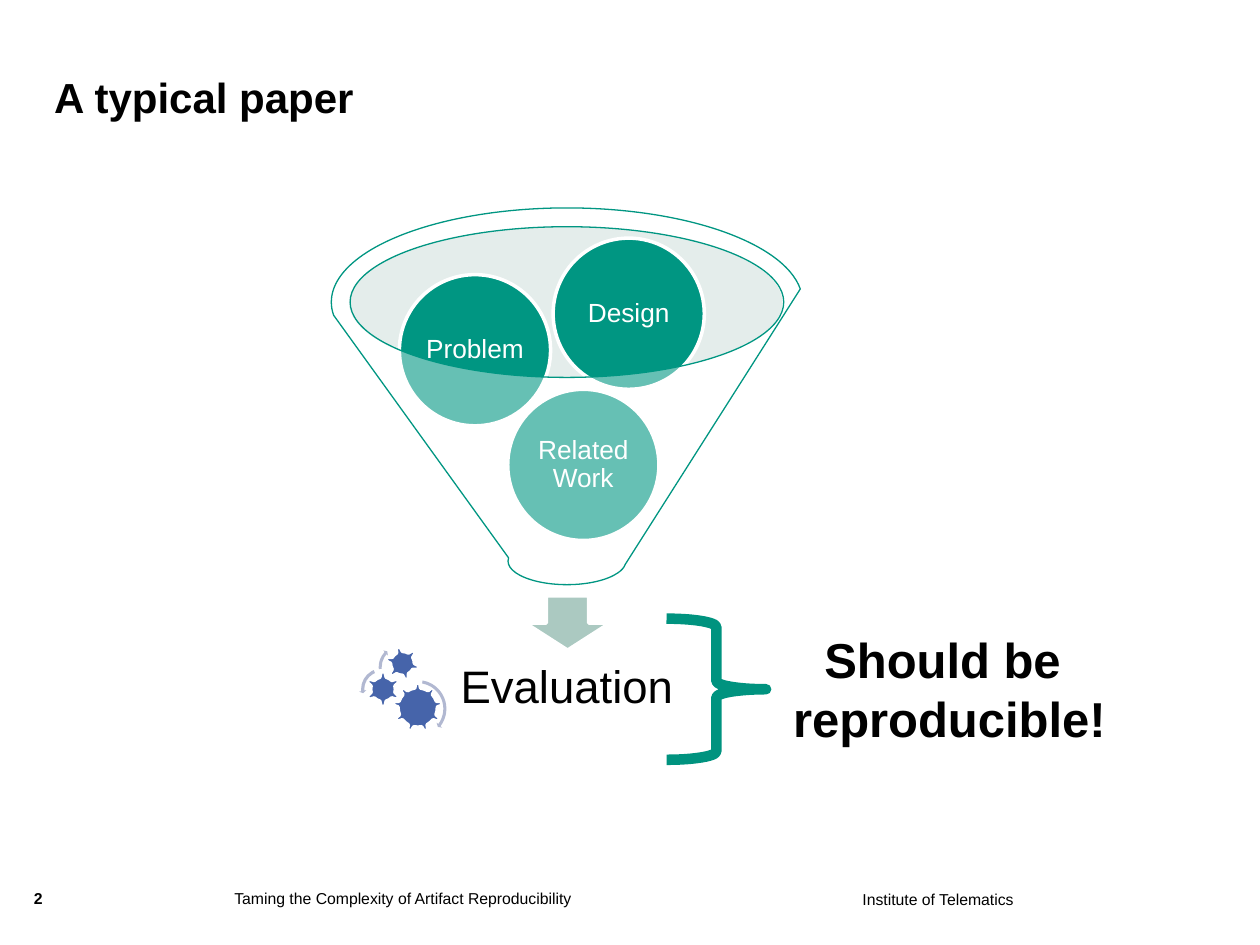
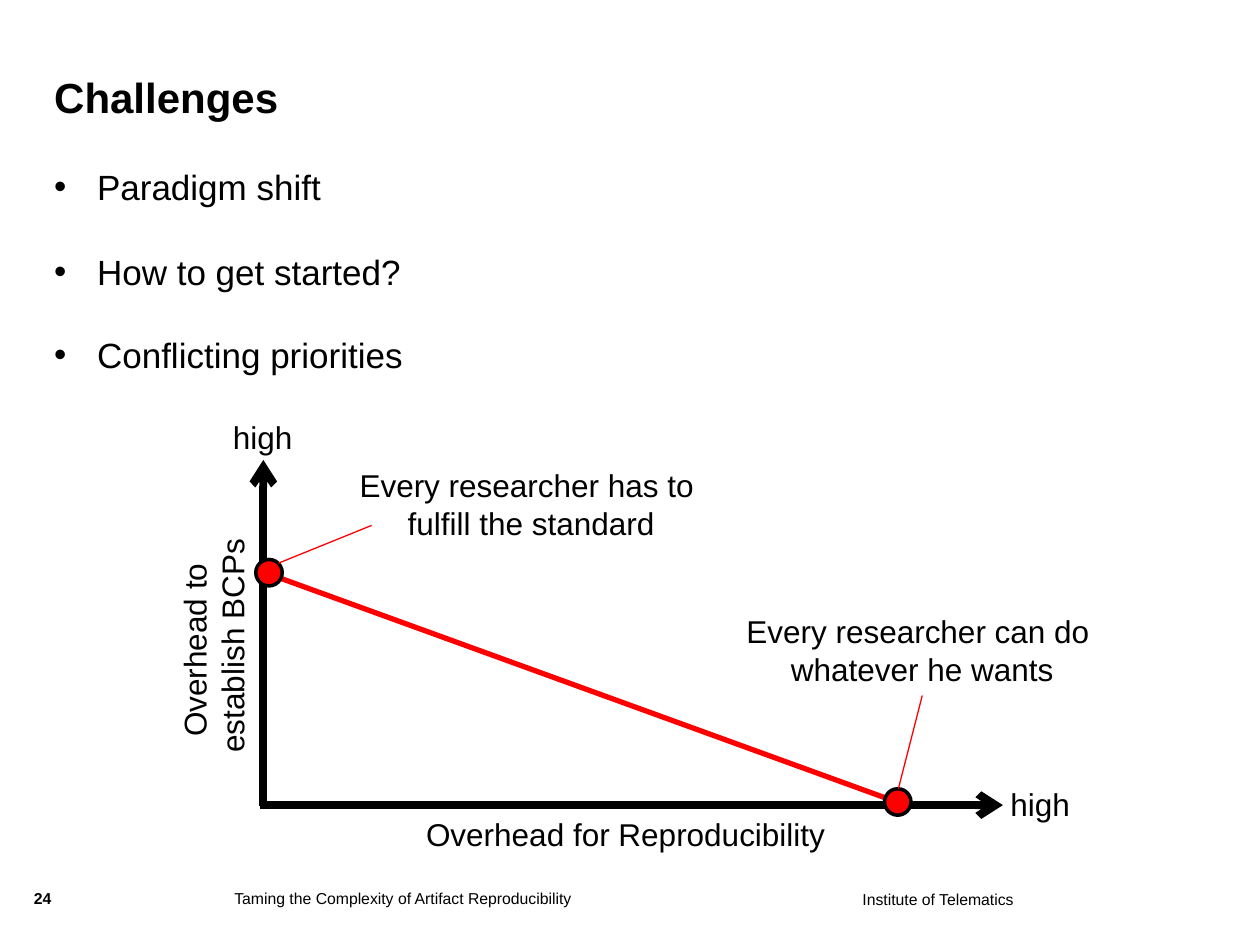
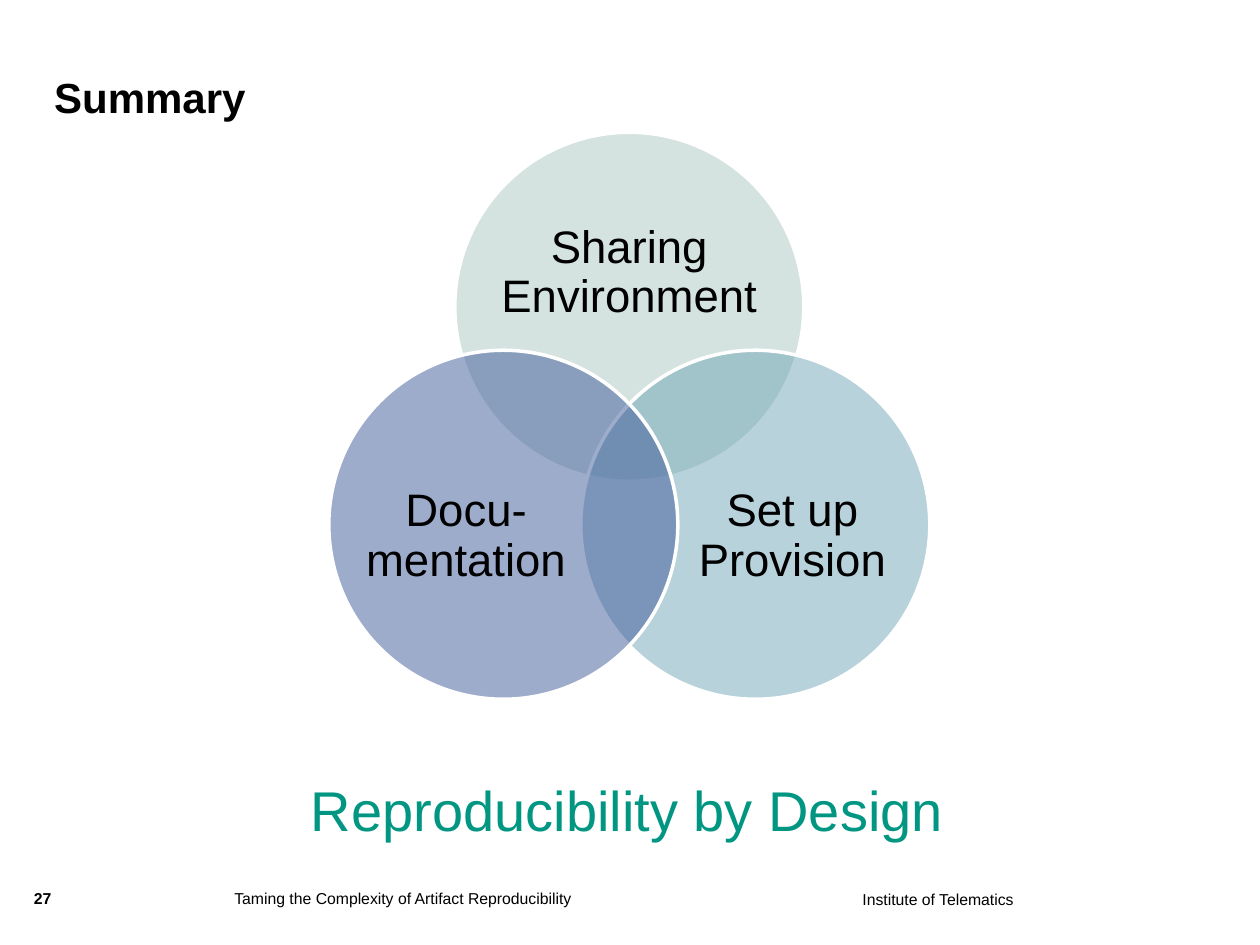
import collections

import lxml.etree
import pptx
import pptx.dml.color
import pptx.enum.shapes
import pptx.enum.text
import pptx.oxml.ns
import pptx.util

COLUMNS, ROWS = 100, 75
UNIT = pptx.util.Inches(0.1)
FONT = "Arial"
COLORS = {
    "black": "000000", "white": "FFFFFF", "teal": "009682", "brace": "00937F",
    "red": "FF0000", "rim": "BDD3CD", "arrow": "ABC9C1", "gear": "4664AA",
    "spin": "B1B8D1", "sage": "AAC9C1", "aqua": "70A6B6", "indigo": "3F5A9A",
}
SHAPES = pptx.enum.shapes.MSO_SHAPE
ALIGN = pptx.enum.text.PP_ALIGN
ANCHOR = pptx.enum.text.MSO_ANCHOR
FIT = pptx.enum.text.MSO_AUTO_SIZE

Box = collections.namedtuple("Box", "left top width height")


def within(box, left, top, width, height):
    return Box(box.left + left, box.top + top, width, height)


def lengths(box):
    return [round(value * UNIT) for value in box]


def color(name):
    return pptx.dml.color.RGBColor.from_string(COLORS[name])


def tag(name):
    return pptx.oxml.ns.qn("a:" + name)


def write(frame, text, size, ink="black", bold=False, align=ALIGN.LEFT,
          anchor=ANCHOR.TOP, inset=0, spacing=None, wrap=True):
    frame.text = text
    frame.word_wrap = wrap
    frame.auto_size = FIT.NONE
    frame.vertical_anchor = anchor
    if inset is not None:
        frame.margin_left = frame.margin_right = pptx.util.Inches(inset)
        frame.margin_top = frame.margin_bottom = pptx.util.Inches(inset)
    for para in frame.paragraphs:
        para.alignment = align
        if spacing:
            para.line_spacing = spacing
        for span in para.runs:
            span.font.name = FONT
            span.font.size = pptx.util.Pt(size)
            span.font.bold = bold
            span.font.color.rgb = color(ink)


def add_text(page, box, text, size, **style):
    label = page.shapes.add_textbox(*lengths(box))
    write(label.text_frame, text, size, **style)
    return label


def add_note(page, box, text, size=18, wrap=False, **style):
    label = add_text(page, box, text, size, inset=None, wrap=wrap, **style)
    label.text_frame.auto_size = FIT.SHAPE_TO_FIT_TEXT
    return label


def add_figure(page, kind, box, fill=None, line=None, weight=2, opacity=None, turn=0):
    figure = page.shapes.add_shape(kind, *lengths(box))
    figure.shadow.inherit = False
    figure.rotation = turn
    if fill:
        figure.fill.solid()
        figure.fill.fore_color.rgb = color(fill)
    else:
        figure.fill.background()
    if opacity:
        paint = figure._element.spPr.find(tag("solidFill"))[0]
        lxml.etree.SubElement(paint, tag("alpha"), val=str(opacity * 1000))
    if line:
        figure.line.color.rgb = color(line)
        figure.line.width = pptx.util.Pt(weight)
    else:
        figure.line.fill.background()
    return figure


def add_line(page, box, start, end, ink, weight, arrow=None):
    points = (box.left + start[0], box.top + start[1], box.left + end[0], box.top + end[1])
    line = page.shapes.add_connector(pptx.enum.shapes.MSO_CONNECTOR.STRAIGHT, *lengths(points))
    line.line.color.rgb = color(ink)
    line.line.width = pptx.util.Pt(weight)
    properties = line._element.spPr
    if arrow:
        lxml.etree.SubElement(properties.find(tag("ln")), tag(arrow), type="arrow")
    lxml.etree.SubElement(properties, tag("effectLst"))


def move(holder, box):
    holder.left, holder.top, holder.width, holder.height = lengths(box)


def add_page(deck, layout, title, number):
    page = deck.slides.add_slide(deck.slide_layouts[layout])
    move(page.shapes.title, Box(4.3, 3.6, 75.6, 6.1))
    write(page.shapes.title.text_frame, title, 24, bold=True, anchor=ANCHOR.BOTTOM)
    footer = Box(2.7, 70.5, COLUMNS, 4)
    add_text(page, within(footer, 65.4, 0.1, 14.2, 3.9), " Institute of Telematics", 9)
    add_text(page, within(footer, 0, 0, 3.6, 2.4), str(number), 9, bold=True)
    add_text(page, within(footer, 15.9, 0, 46.5, 3.9),
             "Taming the Complexity of Artifact Reproducibility", 9)
    return page


def add_funnel(page, box):
    add_figure(page, SHAPES.OVAL, within(box, 1.4, 1.5, 34.4, 12), "rim", opacity=40)
    add_figure(page, SHAPES.DOWN_ARROW, within(box, 15.4, 30.8, 6.7, 4.3), "arrow", "white")
    add_text(page, within(box, 2.7, 34.2, 32, 8), "Evaluation", 26, align=ALIGN.CENTER,
             anchor=ANCHOR.MIDDLE, inset=0.2, spacing=0.9)
    for text, left, top in (("Related Work", 14, 14.4), ("Problem", 5.4, 5.3),
                            ("Design", 17.6, 2.4)):
        ball = add_figure(page, SHAPES.OVAL, within(box, left, top, 12, 12), "teal", "white")
        write(ball.text_frame, text, 15, ink="white", align=ALIGN.CENTER,
              anchor=ANCHOR.MIDDLE, inset=0.02, spacing=0.9)
    add_figure(page, SHAPES.FUNNEL, box, "white", "teal", 0.75, opacity=40)


def add_gears(page, box):
    for kind, left, top, size, turn in ((SHAPES.GEAR_9, 2.7, 3.2, 3.9, 0),
                                        (SHAPES.GEAR_6, 0.5, 2.3, 2.8, 0),
                                        (SHAPES.GEAR_6, 2.1, 0.3, 2.7, 345)):
        add_figure(page, kind, within(box, left, top, size, size), "gear", "white", turn=turn)
    for kind, left, top, size, bends in (
            (SHAPES.CIRCULAR_ARROW, 2.2, 2.8, 4.9, (0.05, 2.99, 22.26, 167.92, 0.06)),
            (SHAPES.LEFT_CIRCULAR_ARROW, 0, 1.9, 3.6, (0.07, 4.3, 104.89, 148.38, 0.08)),
            (SHAPES.CIRCULAR_ARROW, 1.4, 0, 3.9, (0.06, 3.94, 133.14, 105.08, 0.07))):
        spin = add_figure(page, kind, within(box, left, top, size, size), "spin")
        for index, bend in enumerate(bends):
            spin.adjustments[index] = bend


def add_demand(page, box):
    add_figure(page, SHAPES.LEFT_BRACE, within(box, 0, 0, 7.9, 11.2),
               line="brace", weight=6, turn=180)
    add_note(page, within(box, 8.9, 0.4, 27.1, 10.4), "Should be \vreproducible!", 28,
             bold=True, align=ALIGN.CENTER)


def add_bullets(page, box, items):
    body = page.placeholders[1]
    move(body, box)
    write(body.text_frame, "\n".join(items), 20)
    for para, gap in zip(body.text_frame.paragraphs, (0, 25, 23)):
        para.space_before = pptx.util.Pt(gap)
        properties = para._p.get_or_add_pPr()
        indent = pptx.util.Inches(0.34)
        properties.set("marL", str(indent))
        properties.set("indent", str(-indent))
        lxml.etree.SubElement(properties, tag("buFont"), typeface=FONT)
        lxml.etree.SubElement(properties, tag("buChar"), char="•")


def add_tradeoff(page, box):
    center = {"align": ALIGN.CENTER}
    add_line(page, box, (0, 27.4), (59, 27.4), "black", 4.5, "tailEnd")
    add_note(page, within(box, -3.4, 27.7, 64.9, 4), "Overhead for Reproducibility",
             wrap=True, **center)
    add_line(page, box, (0.3, 0), (0.3, 27.5), "black", 4.5, "headEnd")
    axis = add_note(page, within(box, -14.3, 11.2, 21.3, 7.1),
                    "Overhead to \vestablish BCPs", wrap=True, **center)
    axis.rotation = 270
    add_line(page, box, (0.3, 8.9), (50.7, 27.2), "red", 3)
    for text, label, dot, start, end in (
            ("Every researcher can do \vwhatever he wants", (37.5, 11.6, 30.2, 7.1),
             (49.6, 26.1), (50.7, 26.1), (52.6, 18.7)),
            ("Every researcher has to \vfulfill the standard", (6.8, 0, 29.5, 7.1),
             (-0.3, 7.9), (1.5, 8.2), (8.9, 5.2))):
        add_note(page, within(box, *label), text, **center)
        add_figure(page, SHAPES.OVAL, within(box, *dot, 2.1, 2.1), "red", "black")
        add_line(page, box, start, end, "red", 0.75)
    for left, top in ((58.6, 25.3), (-3.1, -3.8)):
        add_note(page, within(box, left, top, 6.8, 4), "high")


def add_venn(page, box):
    side = 27.7
    for text, fill, left, top, label in (
            ("Sharing Environment", "sage", 10, 0, (3.7, 4.9, 20.3, 12.5)),
            ("Set up Provision", "aqua", 20, 17.3, (8.5, 7.2, 16.6, 15.2)),
            ("Docu- mentation", "indigo", 0, 17.3, (2.6, 7.2, 16.6, 15.2))):
        circle = within(box, left, top, side, side)
        add_figure(page, SHAPES.OVAL, circle, fill, "white", opacity=50)
        add_text(page, within(circle, *label), text, 26, align=ALIGN.CENTER,
                 anchor=ANCHOR.MIDDLE, spacing=0.9)


deck = pptx.Presentation()
deck.slide_width, deck.slide_height = COLUMNS * UNIT, ROWS * UNIT

paper = add_page(deck, 5, "A typical paper", 2)
add_funnel(paper, Box(26.3, 16.5, 37.4, 29.9))
add_gears(paper, Box(28.5, 51, 7.1, 7.7))
add_demand(paper, Box(52.9, 49.1, 36, 11.2))

challenges = add_page(deck, 1, "Challenges", 24)
add_bullets(challenges, Box(4.3, 13.1, 91.4, 53.5),
            ("Paradigm shift", "How to get started?", "Conflicting priorities"))
add_tradeoff(challenges, Box(20.6, 36.5, 59, 27.5))

summary = add_page(deck, 5, "Summary", 27)
add_venn(summary, Box(26.1, 10.5, 47.7, 45))
add_note(summary, Box(23.7, 61.1, 52.6, 6.4), "Reproducibility by Design", 32, ink="teal")

deck.save("out.pptx")
